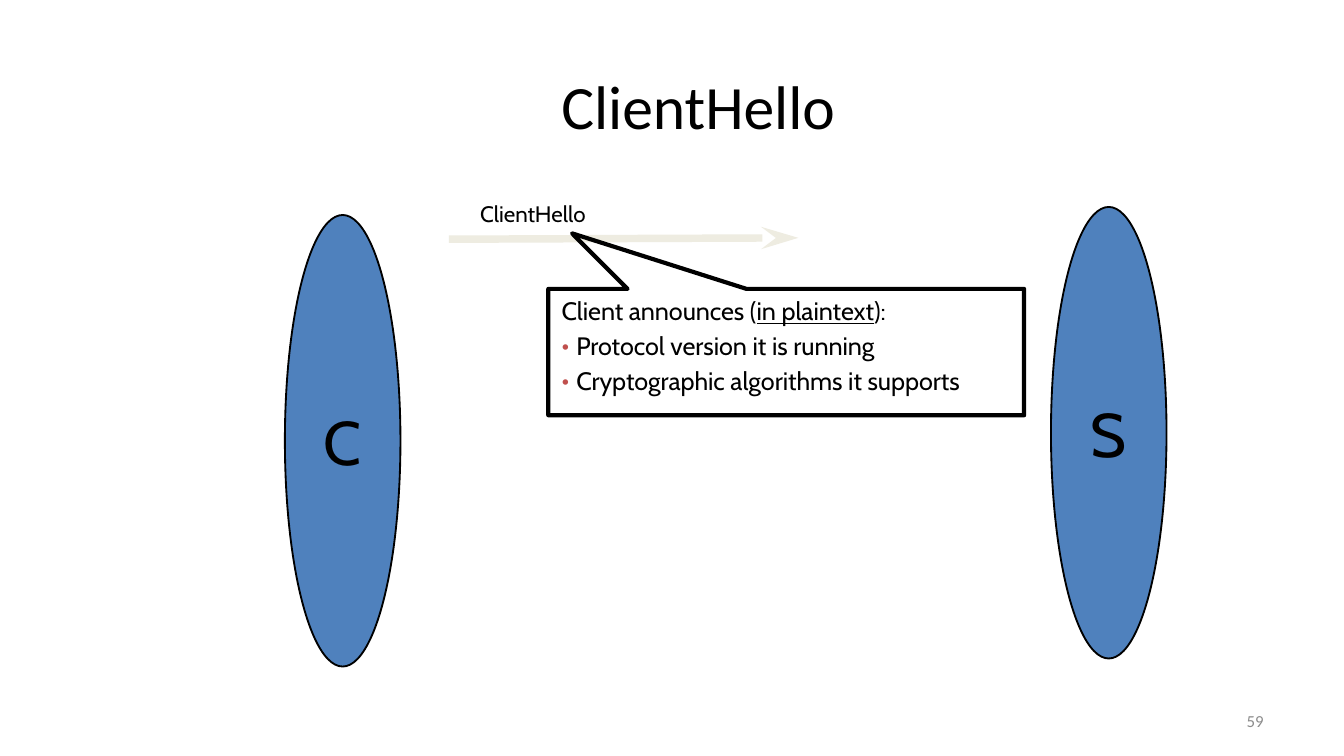
from lxml.etree import SubElement
from pptx import Presentation
from pptx.dml.color import RGBColor
from pptx.enum.shapes import MSO_CONNECTOR, MSO_SHAPE
from pptx.enum.text import MSO_ANCHOR, PP_ALIGN
from pptx.oxml.ns import qn
from pptx.util import Inches, Pt

BLACK, BLUE, BEIGE, RED, GRAY = "000000", "4F81BD", "EEECE1", "C0504D", "8C8C8C"

TITLE = ("ClientHello", (2.12, 0.31, 6.15, 0.94), 33, "Calibri", BLACK, PP_ALIGN.CENTER, MSO_ANCHOR.MIDDLE, True)
MESSAGE = ("ClientHello", (3.47, 1.44, 0.99, 0.3), 12, "Cabin", BLACK, PP_ALIGN.CENTER, MSO_ANCHOR.TOP, False)
PAGE_NUMBER = ("59", (7.17, 5.21, 2.33, 0.3), 9, "Calibri", GRAY, PP_ALIGN.RIGHT, MSO_ANCHOR.MIDDLE, True)
CLIENT = ("C", 2.12, 1.6)
SERVER = ("S", 7.82, 1.54)
HEADING = [("Client announces (", False), ("in plaintext", True), ("):", False)]
ANNOUNCEMENTS = ["Protocol version it is running", "Cryptographic algorithms it supports"]


def color(value):
    return RGBColor.from_string(value)


def inches(values):
    return [Inches(value) for value in values]


def add_span(para, text, size, font, fill=BLACK, underline=False):
    span = para.add_run()
    span.text = text
    span.font.size = Pt(size)
    span.font.name = font
    span.font.color.rgb = color(fill)
    if underline:
        span.font.underline = True


def add_outlined(page, kind, place, width):
    shape = page.shapes.add_shape(kind, *inches(place))
    shape.shadow.inherit = False
    shape.line.color.rgb = color(BLACK)
    shape.line.width = Pt(width)
    return shape


def add_bullet(para):
    properties = para._p.get_or_add_pPr()
    properties.set("marL", str(Inches(0.11)))
    properties.set("indent", str(-Inches(0.11)))
    bullet_color = SubElement(properties, qn("a:buClr"))
    SubElement(bullet_color, qn("a:srgbClr")).set("val", RED)
    SubElement(properties, qn("a:buFont")).set("typeface", "Cabin")
    SubElement(properties, qn("a:buChar")).set("char", "•")


def add_label(page, text, place, size, font, fill, align, anchor, wrap):
    frame = page.shapes.add_textbox(*inches(place)).text_frame
    frame.word_wrap = wrap
    frame.vertical_anchor = anchor
    para = frame.paragraphs[0]
    para.alignment = align
    add_span(para, text, size, font, fill)


def add_party(page, name, left, top):
    ellipse = add_outlined(page, MSO_SHAPE.OVAL, (left, top, 0.86, 3.36), 1)
    ellipse.fill.solid()
    ellipse.fill.fore_color.rgb = color(BLUE)
    frame = ellipse.text_frame
    frame.word_wrap = False
    frame.vertical_anchor = MSO_ANCHOR.MIDDLE
    para = frame.paragraphs[0]
    para.alignment = PP_ALIGN.CENTER
    add_span(para, name, 33, "Cabin")


def add_arrow(page):
    arrow = page.shapes.add_connector(MSO_CONNECTOR.STRAIGHT, *inches((3.34, 1.78, 5.94, 1.77)))
    arrow.line.color.rgb = color(BEIGE)
    arrow.line.width = Pt(4)
    head = SubElement(arrow.line._get_or_add_ln(), qn("a:tailEnd"))
    head.set("type", "stealth")
    head.set("len", "lg")
    SubElement(arrow._element.spPr, qn("a:effectLst"))


def add_callout(page):
    callout = add_outlined(page, MSO_SHAPE.RECTANGULAR_CALLOUT, (4.08, 2.15, 3.54, 0.94), 2.25)
    callout.adjustments[0] = -0.45
    callout.adjustments[1] = -0.94
    callout.fill.background()
    frame = callout.text_frame
    frame.word_wrap = True
    frame.vertical_anchor = MSO_ANCHOR.TOP
    para = frame.paragraphs[0]
    para.alignment = PP_ALIGN.LEFT
    for text, underline in HEADING:
        add_span(para, text, 13.5, "Cabin", underline=underline)
    for text in ANNOUNCEMENTS:
        para = frame.add_paragraph()
        para.alignment = PP_ALIGN.LEFT
        para.space_before = Pt(2.5)
        add_bullet(para)
        add_span(para, text, 13.5, "Cabin")


def main():
    deck = Presentation()
    deck.slide_width = Inches(10)
    deck.slide_height = deck.slide_width * 9 // 16
    page = deck.slides.add_slide(deck.slide_layouts[6])
    add_label(page, *TITLE)
    add_party(page, *CLIENT)
    add_arrow(page)
    add_label(page, *MESSAGE)
    add_party(page, *SERVER)
    add_callout(page)
    add_label(page, *PAGE_NUMBER)
    deck.save("out.pptx")


if __name__ == "__main__":
    main()
